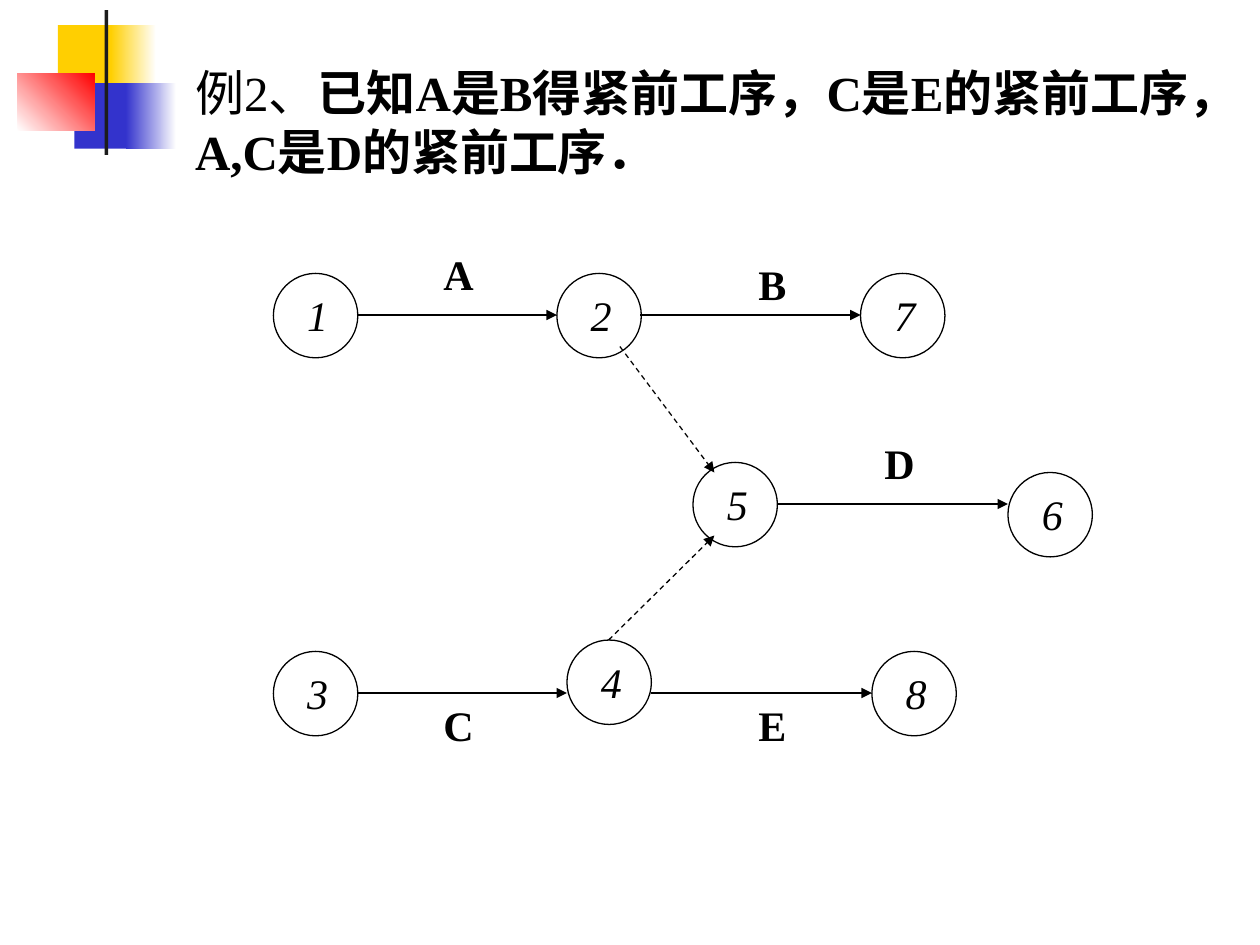
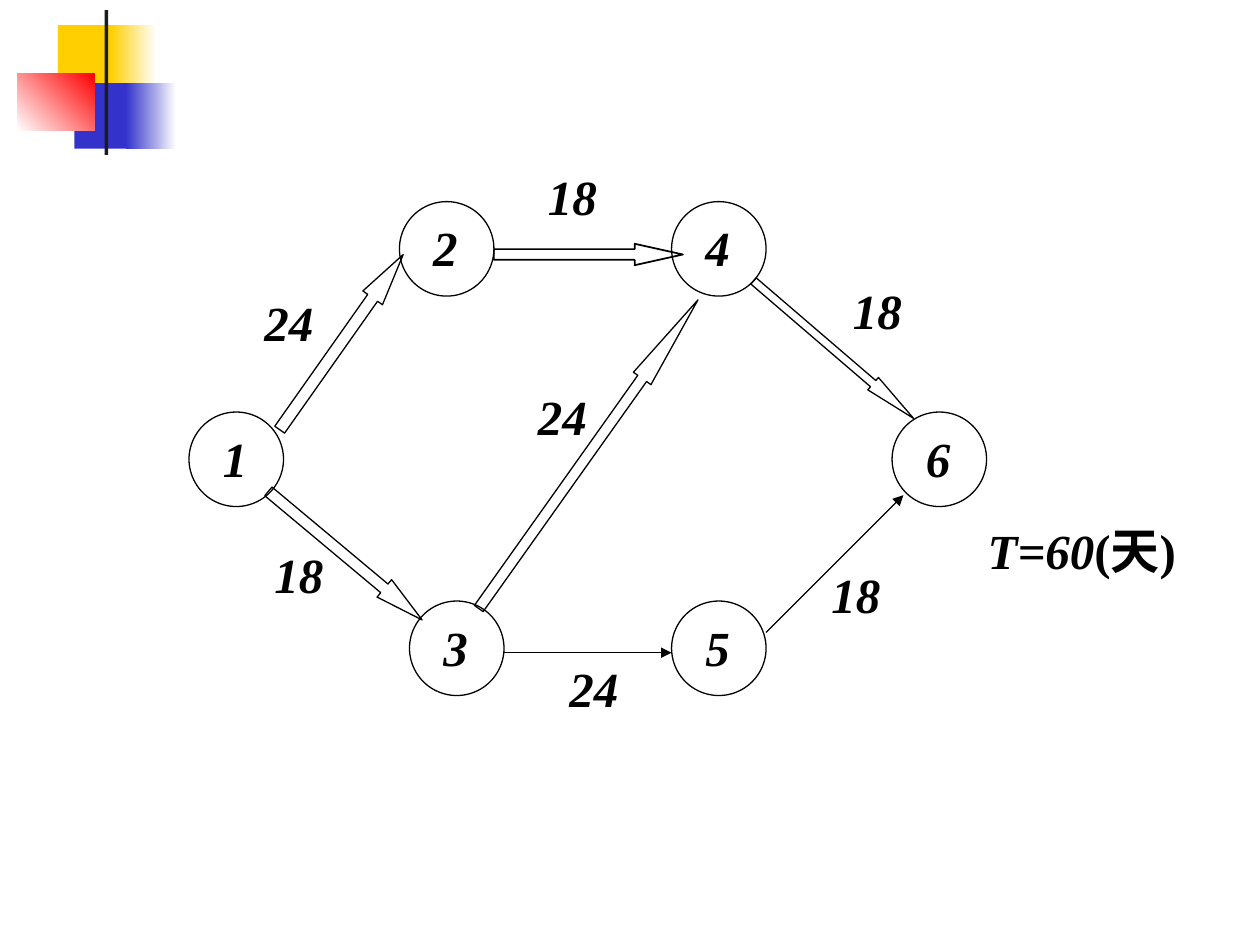
import math
from lxml import etree
from pptx import Presentation
from pptx import util as u
from pptx.dml.color import RGBColor
from pptx.enum import dml, shapes, text
from pptx.oxml.ns import qn

COLOURS = {
    "ink": "000000",
    "paper": "FFFFFF",
    "yellow": "FFCF01",
    "blue": "3333CC",
    "red": "FF0000",
    "bar": "1C1C1C",
}
FONT = "Times New Roman"
BLANK_LAYOUT = 6


def colour(name):
    return RGBColor.from_string(COLOURS[name])


def inches(*values):
    return [u.Inches(value) for value in values]


def add_block(page, area, first, second=None, angle=0):
    block = page.shapes.add_shape(shapes.MSO_SHAPE.RECTANGLE, *inches(*area))
    block.shadow.inherit = False
    block.line.fill.background()
    if second is None:
        block.fill.solid()
        block.fill.fore_color.rgb = colour(first)
        return
    block.fill.gradient()
    block.fill.gradient_angle = angle
    for stop, name in zip(block.fill.gradient_stops, (first, second)):
        stop.color.rgb = colour(name)


def add_corner_blocks(page):
    add_block(page, (0.46, 0.2, 0.48, 0.52), "yellow")
    add_block(page, (0.88, 0.2, 0.36, 0.52), "yellow", "paper")
    add_block(page, (0.59, 0.66, 0.46, 0.52), "blue")
    add_block(page, (1, 0.66, 0.4, 0.52), "blue", "paper")
    add_block(page, (0.14, 0.58, 0.61, 0.46), "paper", "red", 45)
    add_block(page, (0.83, 0.08, 0.03, 1.15), "bar")


def add_page(deck):
    page = deck.slides.add_slide(deck.slide_layouts[BLANK_LAYOUT])
    add_corner_blocks(page)
    return page


def add_text(page, area, spans, size, bold=None, italic=None, align=None, wrap=False):
    box = page.shapes.add_textbox(*inches(*area))
    frame = box.text_frame
    frame.word_wrap = wrap
    frame.auto_size = text.MSO_AUTO_SIZE.SHAPE_TO_FIT_TEXT
    para = frame.paragraphs[0]
    para.alignment = align
    para.font.name = FONT
    para.font.size = u.Pt(size)
    para.font.bold = bold
    para.font.italic = italic
    para.font.color.rgb = colour("ink")
    for words in spans:
        para.add_run().text = words
    return para


def draw_outline(shape, width=0.75):
    shape.line.color.rgb = colour("ink")
    shape.line.width = u.Pt(width)


def add_hollow_shape(page, kind, area, width=0.75):
    shape = page.shapes.add_shape(kind, *inches(*area))
    shape.shadow.inherit = False
    shape.fill.background()
    draw_outline(shape, width)
    return shape


def add_node(page, number, left, top, diameter, size, bold=False):
    add_hollow_shape(page, shapes.MSO_SHAPE.OVAL, (left, top, diameter, diameter))
    label_area = (left + 0.17, top + 0.08, 0.36, 0.5)
    add_text(page, label_area, [str(number)], size, bold, True, text.PP_ALIGN.CENTER)


def add_arrow(page, start, end, dashed=False):
    arrow = page.shapes.add_connector(
        shapes.MSO_CONNECTOR.STRAIGHT, *inches(*start, *end))
    draw_outline(arrow)
    if dashed:
        arrow.line.dash_style = dml.MSO_LINE.DASH
    etree.SubElement(arrow.line._get_or_add_ln(), qn("a:tailEnd"), type="triangle")
    etree.SubElement(arrow._element.spPr, qn("a:effectLst"))


def add_block_arrow(page, start, end, thickness, head_ratio, width=0.75):
    run, rise = end[0] - start[0], end[1] - start[1]
    length = math.hypot(run, rise)
    left = (start[0] + end[0] - length) / 2
    top = (start[1] + end[1] - thickness) / 2
    arrow = add_hollow_shape(
        page, shapes.MSO_SHAPE.RIGHT_ARROW, (left, top, length, thickness), width)
    arrow.rotation = math.degrees(math.atan2(rise, run)) % 360
    arrow.adjustments[0] = 0.5
    arrow.adjustments[1] = head_ratio


def build_precedence_page(deck):
    page = add_page(deck)
    title = add_text(
        page, (1.45, 0.45, 8.08, 1.75),
        ["例2、", "已知A是B得紧前工序，C是E的紧前工序，A,C是D的紧前工序．"],
        28, align=text.PP_ALIGN.JUSTIFY, wrap=True)
    title.runs[1].font.bold = True

    nodes = {
        1: (2.17, 2.17), 2: (4.42, 2.17), 7: (6.83, 2.17),
        5: (5.5, 3.67), 6: (8, 3.75),
        3: (2.17, 5.17), 4: (4.5, 5.08), 8: (6.92, 5.17),
    }
    for number, place in nodes.items():
        add_node(page, number, *place, 0.67, 24)

    level_arrows = [(2.83, 4.42, 2.5), (5.08, 6.83, 2.5), (6.17, 8, 4),
                    (2.83, 4.5, 5.5), (5.17, 6.92, 5.5)]
    for left, right, height in level_arrows:
        add_arrow(page, (left, height), (right, height))
    add_arrow(page, (4.92, 2.75), (5.67, 3.75), dashed=True)
    add_arrow(page, (4.83, 5.08), (5.67, 4.25), dashed=True)

    activities = {"A": (3.42, 1.92), "B": (5.92, 2), "D": (6.92, 3.42),
                  "C": (3.42, 5.5), "E": (5.92, 5.5)}
    for letter, place in activities.items():
        add_text(page, (*place, 0.44, 0.5), [letter], 24, bold=True)


def build_duration_page(deck):
    page = add_page(deck)
    nodes = {1: (1.5, 3.27), 2: (3.17, 1.6), 3: (3.25, 4.77),
             4: (5.33, 1.6), 5: (5.33, 4.77), 6: (7.08, 3.27)}
    for number, place in nodes.items():
        add_node(page, number, *place, 0.75, 28, bold=True)

    add_arrow(page, (4, 5.18), (5.33, 5.18))
    add_arrow(page, (6.08, 5.02), (7.17, 3.93))

    critical_path = [
        ((2.13, 3.9), (3.35, 4.92), 0.18, 2.17),
        ((3.8, 4.83), (5.54, 2.38), 0.17, 4.5),
        ((5.98, 2.23), (7.25, 3.32), 0.13, 3.25),
        ((2.22, 3.41), (3.2, 2.02), 0.19, 2.21),
        ((3.92, 2.02), (5.42, 2.02), 0.17, 2.25, 1),
    ]
    for step in critical_path:
        add_block_arrow(page, *step)

    durations = [(18, 4.25, 1.27), (18, 2.08, 4.27), (24, 2, 2.27), (24, 4.17, 3.02),
                 (18, 6.67, 2.18), (18, 6.5, 4.43), (24, 4.42, 5.18)]
    for days, left, top in durations:
        add_text(page, (left, top, 0.59, 0.57), [str(days)], 28, bold=True, italic=True)

    total = add_text(page, (7.74, 4.08, 1.88, 0.57), ["T=60", "(天)"], 28, bold=True)
    total.runs[0].font.italic = True


def main():
    deck = Presentation()
    deck.slide_width, deck.slide_height = inches(10, 7.5)
    build_precedence_page(deck)
    build_duration_page(deck)
    deck.save("out.pptx")


if __name__ == "__main__":
    main()
